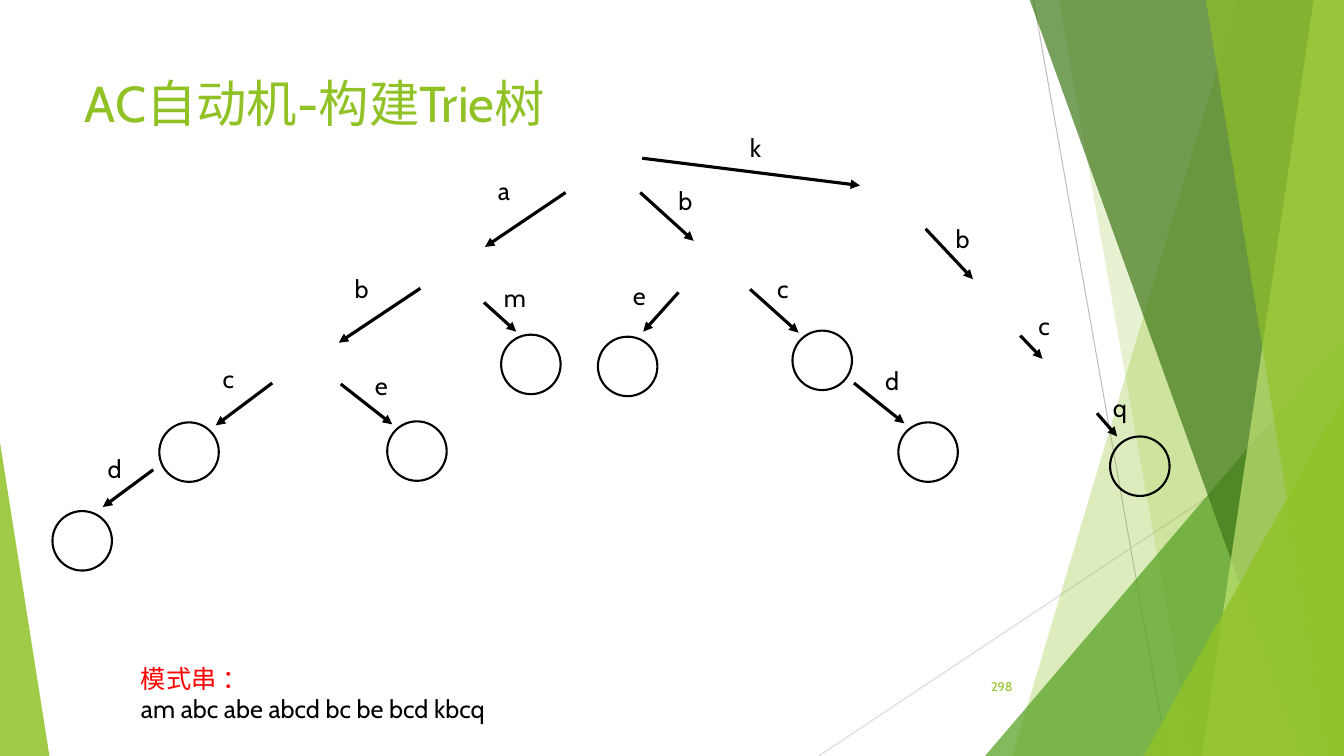
from lxml.etree import SubElement
from pptx import Presentation
from pptx.dml.color import RGBColor
from pptx.enum.shapes import MSO_CONNECTOR as Link, MSO_SHAPE as Preset
from pptx.enum.text import MSO_ANCHOR as Anchor, MSO_AUTO_SIZE as AutoSize, PP_ALIGN as Align
from pptx.oxml.ns import qn
from pptx.util import Inches, Pt

# The grid has one column and one row per inch
COLUMNS, ROWS = 13.33, 7.5
FONT = "Cabin"
GREEN, BLACK, RED = "90C226", "000000", "FF0000"
NODE_SIZE = 0.59

# Background: thin lines, then facets as corner points or triangles
THIN_LINES = [
    ((10.25, 0), (11.58, ROWS), "BFBFBF"),
    ((COLUMNS, 4.03), (8.12, ROWS), "D9D9D9"),
]
# top-left x, bottom-left x, colour, opacity in percent
BANDS_BACK = [(12.28, 10.04, GREEN, 30), (10.5, 11.83, GREEN, 20)]
BANDS_FRONT = [
    (10.21, 12.91, "3F7819", 70),
    (13.03, 11.92, "C0E474", 70),
    (11.96, 13.18, GREEN, 65),
]

# Trie edges: letter, label left and top, arrow start, arrow end
EDGES = [
    ("a", (4.84, 1.69), (5.61, 1.91), (4.81, 2.45)),
    ("b", (3.42, 2.66), (4.17, 2.86), (3.36, 3.4)),
    ("c", (2.11, 3.56), (2.7, 3.8), (2.14, 4.22)),
    ("d", (0.97, 4.45), (1.52, 4.66), (1.02, 5.03)),
    ("e", (3.62, 3.62), (3.38, 3.81), (3.89, 4.21)),
    ("m", (4.9, 2.75), (4.8, 3), (5.12, 3.29)),
    ("b", (6.63, 1.79), (6.35, 1.91), (6.88, 2.39)),
    ("e", (6.18, 2.73), (6.73, 2.9), (6.38, 3.29)),
    ("c", (7.61, 2.66), (7.44, 2.87), (7.92, 3.3)),
    ("d", (8.68, 3.58), (8.47, 3.8), (8.97, 4.2)),
    ("k", (7.34, 1.26), (6.37, 1.57), (8.53, 1.84)),
    ("b", (9.38, 2.17), (9.18, 2.27), (9.65, 2.77)),
    ("c", (10.2, 3.03), (10.12, 3.33), (10.34, 3.56)),
    ("q", (10.94, 3.84), (10.88, 4.1), (11.08, 4.33)),
]

# Left and top of the circles that end a pattern
END_NODES = [
    (0.52, 5.07), (1.58, 4.19), (3.84, 4.18), (4.97, 3.32),
    (5.93, 3.34), (7.86, 3.28), (8.91, 4.19), (11.01, 4.33),
]


def color(code):
    return RGBColor.from_string(code)


def grid(*values):
    return [Inches(value) for value in values]


def set_all(target, **values):
    for name, value in values.items():
        setattr(target, name, value)


def fill_facet(shape, code, opacity):
    shape.shadow.inherit = False
    shape.line.fill.background()
    shape.fill.solid()
    shape.fill.fore_color.rgb = color(code)
    tint = shape.fill._xPr.find(qn("a:solidFill"))[0]
    SubElement(tint, qn("a:alpha"), val=str(opacity * 1000))


def add_band(page, top_x, bottom_x, code, opacity):
    builder = page.shapes.build_freeform(*grid(top_x, -0.01))
    corners = [(COLUMNS, -0.01), (COLUMNS, ROWS), (bottom_x, ROWS)]
    builder.add_line_segments([grid(*corner) for corner in corners], close=True)
    fill_facet(builder.convert_to_shape(), code, opacity)


def add_triangle(page, left, top, right, apex, code, opacity):
    shape = page.shapes.add_shape(
        Preset.ISOSCELES_TRIANGLE, *grid(left, top, right - left, ROWS - top))
    shape.adjustments[0] = apex
    fill_facet(shape, code, opacity)


def add_line(page, start, end, code, width, arrow=False):
    line = page.shapes.add_connector(Link.STRAIGHT, *grid(*start, *end))
    set_all(line.line, width=Pt(width))
    line.line.color.rgb = color(code)
    if arrow:
        SubElement(line.line._get_or_add_ln(), qn("a:tailEnd"), type="triangle")
    SubElement(line._element.spPr, qn("a:effectLst"))


def add_node(page, left, top):
    node = page.shapes.add_shape(
        Preset.OVAL, *grid(left, top, NODE_SIZE, NODE_SIZE))
    node.shadow.inherit = False
    node.fill.background()
    node.line.color.rgb = color(BLACK)
    node.line.width = Pt(1.5)


def add_text(page, place, lines, size, align=Align.LEFT, **frame_format):
    """Each line is a pair of wording and colour."""
    frame = page.shapes.add_textbox(*grid(*place)).text_frame
    set_all(frame, **{"word_wrap": True, **frame_format})
    for index, (wording, code) in enumerate(lines):
        para = frame.add_paragraph() if index else frame.paragraphs[0]
        para.alignment = align
        span = para.add_run()
        span.text = wording
        set_all(span.font, name=FONT, size=Pt(size))
        span.font.color.rgb = color(code)


def draw_background(page):
    for start, end, code in THIN_LINES:
        add_line(page, start, end, code, 0.75)
    for band in BANDS_BACK:
        add_band(page, *band)
    add_triangle(page, 9.77, 3.33, COLUMNS, 1, "54A021", 72)
    for band in BANDS_FRONT:
        add_band(page, *band)
    add_triangle(page, 11.34, 3.93, COLUMNS, 1, GREEN, 80)
    add_triangle(page, 0, 4.39, 0.49, 0, GREEN, 85)


def draw_trie(page):
    for letter, corner, start, end in EDGES:
        add_line(page, start, end, BLACK, 2.25, arrow=True)
        width = 0.41 if letter == "m" else 0.34
        add_text(page, (*corner, width, 0.4), [(letter, BLACK)], 18,
                 word_wrap=False, auto_size=AutoSize.SHAPE_TO_FIT_TEXT)
    for corner in END_NODES:
        add_node(page, *corner)


def main():
    deck = Presentation()
    set_all(deck, slide_width=Inches(COLUMNS), slide_height=Inches(ROWS))
    page = deck.slides.add_slide(deck.slide_layouts[6])
    draw_background(page)

    # Title and page number
    add_text(page, (0.74, 0.67, 9.4, 1.44), [("AC自动机-构建Trie树", GREEN)], 36)
    add_text(page, (9.39, 6.61, 0.75, 0.4), [("298", GREEN)], 9, Align.RIGHT,
             vertical_anchor=Anchor.MIDDLE)

    draw_trie(page)

    # Patterns stored in the trie
    patterns = [("模式串 ：", RED), ("am abc abe abcd bc be bcd kbcq", BLACK)]
    add_text(page, (1.3, 6.53, 3.9, 1.01), patterns, 18,
             auto_size=AutoSize.SHAPE_TO_FIT_TEXT)
    deck.save("out.pptx")


if __name__ == "__main__":
    main()
